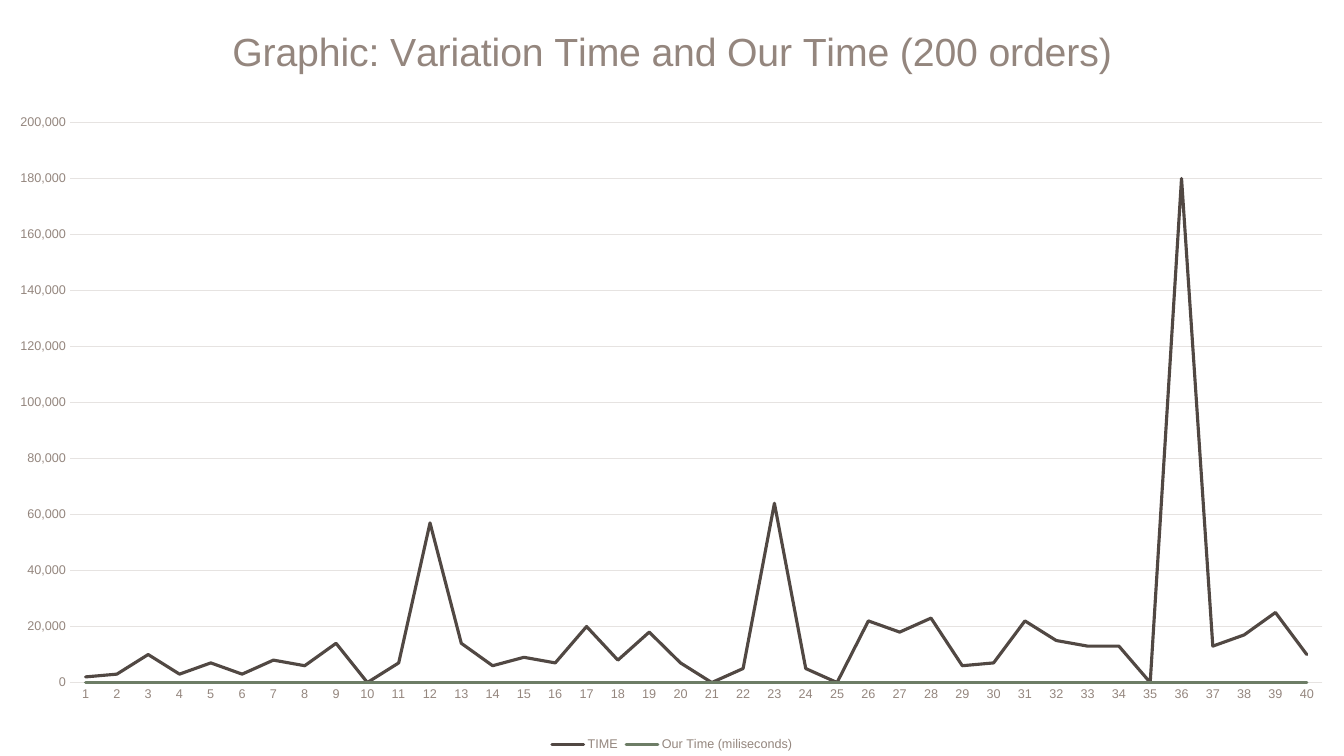
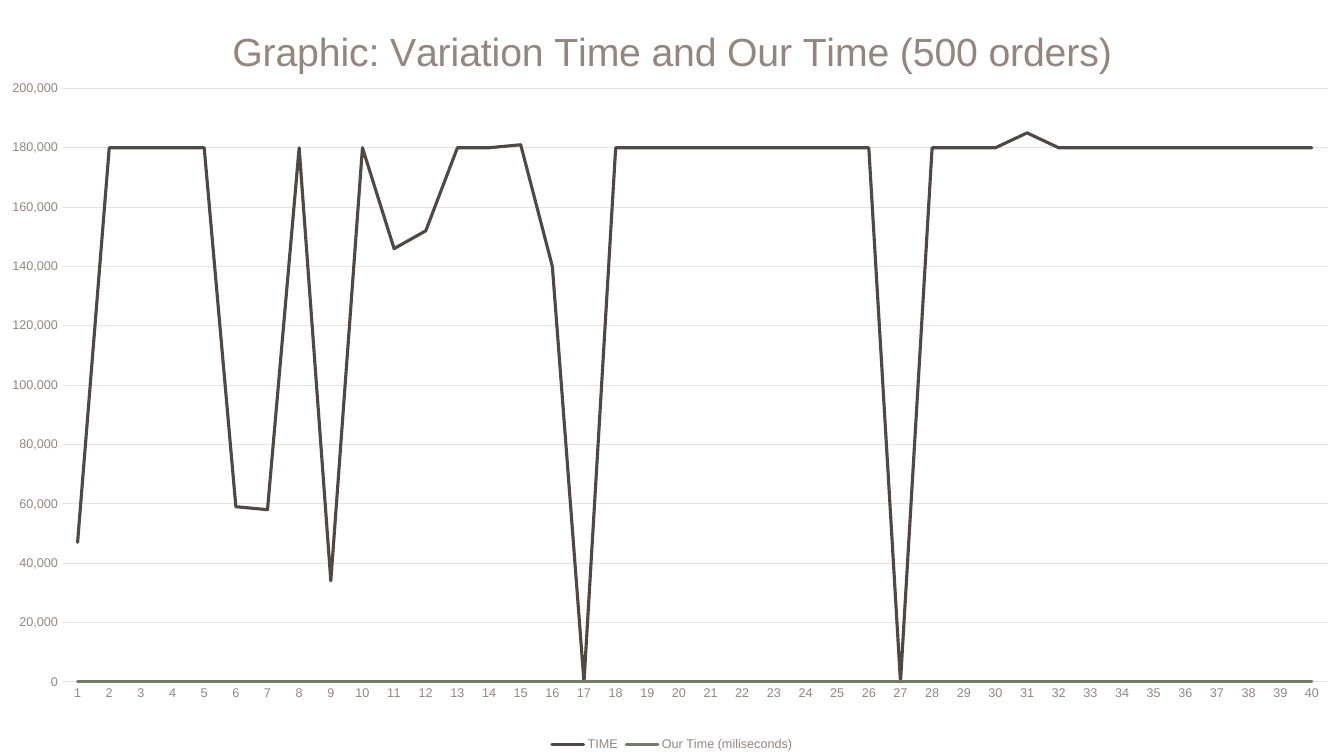
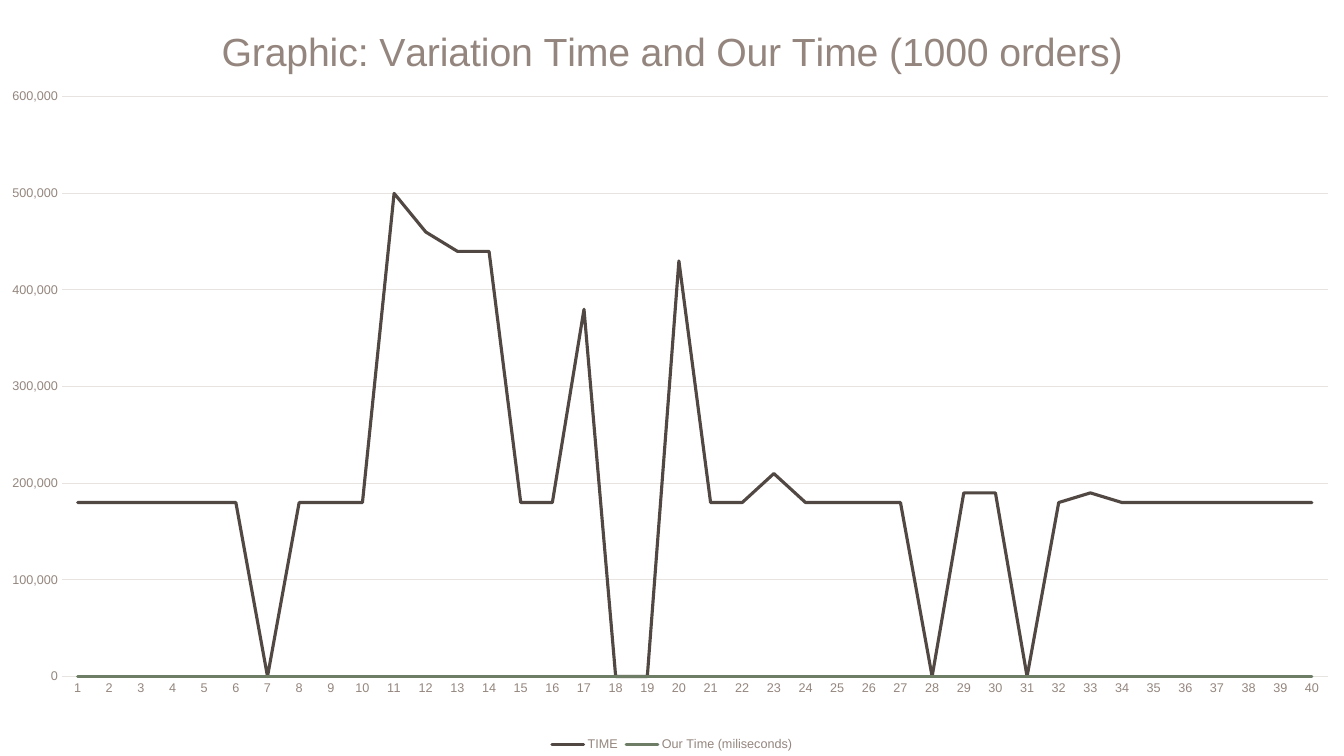
from pptx import Presentation
from pptx.chart.data import CategoryChartData
from pptx.dml.color import RGBColor
from pptx.enum.chart import XL_CHART_TYPE, XL_LEGEND_POSITION, XL_TICK_MARK
from pptx.oxml import parse_xml
from pptx.oxml.ns import nsdecls
from pptx.util import Inches, Pt

WHITE = RGBColor(0xFF, 0xFF, 0xFF)
IVORY = RGBColor(0xFF, 0xFF, 0xF3)
DARK = RGBColor(0x51, 0x48, 0x43)
GREEN = RGBColor(0x6D, 0x7D, 0x66)
TAUPE = RGBColor(0x94, 0x86, 0x7E)
PALE = RGBColor(0xE6, 0xE3, 0xE1)
FONT = "Arial"
RUNS = 40
K180 = 180000

TIMES_200 = [
    2000, 3000, 10000, 3000, 7000, 3000, 8000, 6000, 14000, 0,
    7000, 57000, 14000, 6000, 9000, 7000, 20000, 8000, 18000, 7000,
    0, 5000, 64000, 5000, 0, 22000, 18000, 23000, 6000, 7000,
    22000, 15000, 13000, 13000, 0, 180000, 13000, 17000, 25000, 10000,
]
TIMES_500 = [
    47000, *[K180] * 4, 59000, 58000, K180, 34000, K180,
    146000, 152000, K180, K180, 181000, 140000, 0, *[K180] * 9,
    0, *[K180] * 3, 185000, *[K180] * 9,
]
TIMES_1000 = [
    *[K180] * 6, 0, *[K180] * 3, 500000, 460000, 440000, 440000,
    K180, K180, 380000, 0, 0, 430000, K180, K180, 210000, *[K180] * 4,
    0, 190000, 190000, 0, K180, 190000, *[K180] * 7,
]


def set_font(font, size, color):
    font.name, font.size, font.bold = FONT, Pt(size), False
    font.color.rgb = color


def set_text(tf, text, size=28, color=TAUPE):
    p = tf.paragraphs[0]
    r = p.add_run()
    r.text = text
    set_font(r.font, size, color)


class Deck:
    """Holds the shared chart style and the current slide."""

    def __init__(self):
        self.prs = Presentation()
        self.prs.slide_width = Inches(13.33)
        self.prs.slide_height = Inches(7.5)
        self.s = None

    def slide(self, background):
        self.s = self.prs.slides.add_slide(self.prs.slide_layouts[6])
        fill = self.s.background.fill
        fill.solid()
        fill.fore_color.rgb = background

    def line_chart(self, title, times, plot, top, step):
        data = CategoryChartData(number_format="#,##0")
        data.categories = [str(n) for n in range(1, RUNS + 1)]
        data.add_series("TIME", times)
        data.add_series("Our Time (miliseconds)", [0] * RUNS)
        chart = self.s.shapes.add_chart(
            XL_CHART_TYPE.LINE, 0, 0,
            self.prs.slide_width, self.prs.slide_height, data).chart
        set_font(chart.font, 10, DARK)
        chart.has_title = True
        set_text(chart.chart_title.text_frame, title)
        chart.chart_title.include_in_layout = False
        chart.has_legend = True
        chart.legend.position = XL_LEGEND_POSITION.BOTTOM
        chart.legend.include_in_layout = False
        set_font(chart.legend.font, 9, TAUPE)
        self.axes(chart, top, step)
        self.series(chart)
        self.frame(chart, plot)

    def axes(self, chart, top, step):
        for axis in (chart.category_axis, chart.value_axis):
            axis.major_tick_mark = axis.minor_tick_mark = XL_TICK_MARK.NONE
            set_font(axis.tick_labels.font, 9, TAUPE)
        value = chart.value_axis
        value.minimum_scale, value.maximum_scale = 0, top
        value.major_unit = step
        value.tick_labels.number_format = "#,##0"
        value.tick_labels.number_format_is_linked = False
        value.format.line.fill.background()
        value.has_major_gridlines = True
        for line in (chart.category_axis.format.line,
                     value.major_gridlines.format.line):
            line.color.rgb = PALE
            line.width = Pt(0.75)

    def series(self, chart):
        chart.plots[0].vary_by_categories = False
        for series, color in zip(chart.plots[0].series, (DARK, GREEN)):
            series.smooth = False
            series.format.line.color.rgb = color
            series.format.line.width = Pt(2.25)
        for ln in chart.element.xpath(".//c:ser/c:spPr/a:ln"):
            ln.set("cap", "rnd")

    def frame(self, chart, plot):
        area = chart.element.xpath(".//c:plotArea")[0]
        for layout in area.xpath("./c:layout"):
            area.remove(layout)
        shares = "".join(f'<c:{k} val="{v}"/>' for k, v in zip("xywh", plot))
        area.insert(0, parse_xml(
            f'<c:layout {nsdecls("c")}><c:manualLayout>'
            '<c:layoutTarget val="inner"/><c:xMode val="edge"/>'
            f'<c:yMode val="edge"/>{shares}</c:manualLayout></c:layout>'))
        chart.element.xpath("./c:chart")[0].addnext(parse_xml(
            f'<c:spPr {nsdecls("c", "a")}><a:solidFill>'
            f'<a:srgbClr val="{WHITE}"/></a:solidFill>'
            '<a:ln><a:noFill/></a:ln></c:spPr>'))


def main():
    deck = Deck()
    for orders, times, background, plot, top, step in (
        (200, TIMES_200, IVORY, (0.052, 0.162, 0.932, 0.741), 200000, 20000),
        (500, TIMES_500, WHITE, (0.046, 0.117, 0.942, 0.785), 200000, 20000),
        (1000, TIMES_1000, WHITE, (0.046, 0.128, 0.942, 0.767), 600000, 100000),
    ):
        deck.slide(background)
        deck.line_chart(f"Graphic: Variation Time and Our Time ({orders} orders)",
                        times, plot, top, step)
    deck.prs.save("out.pptx")


if __name__ == "__main__":
    main()
